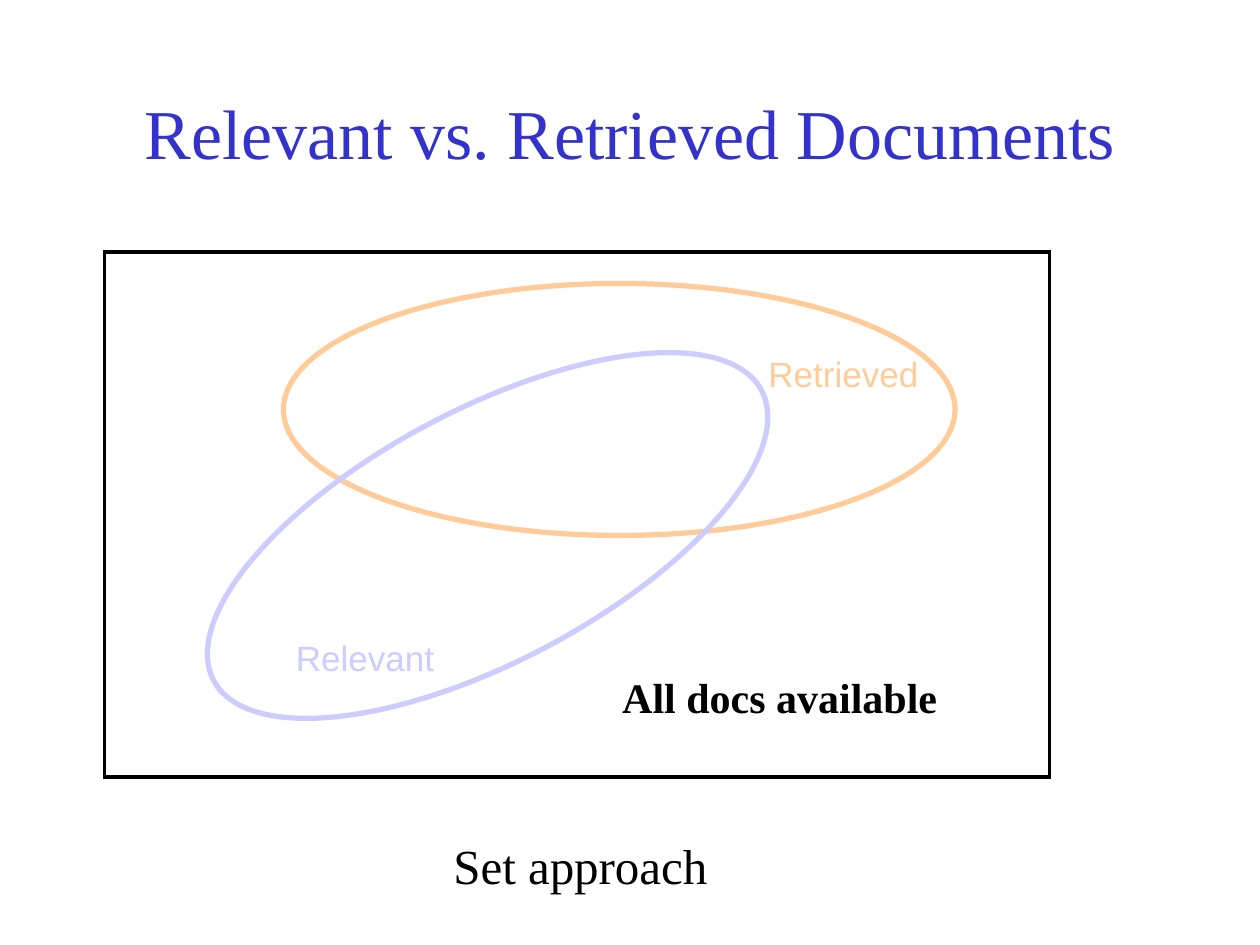
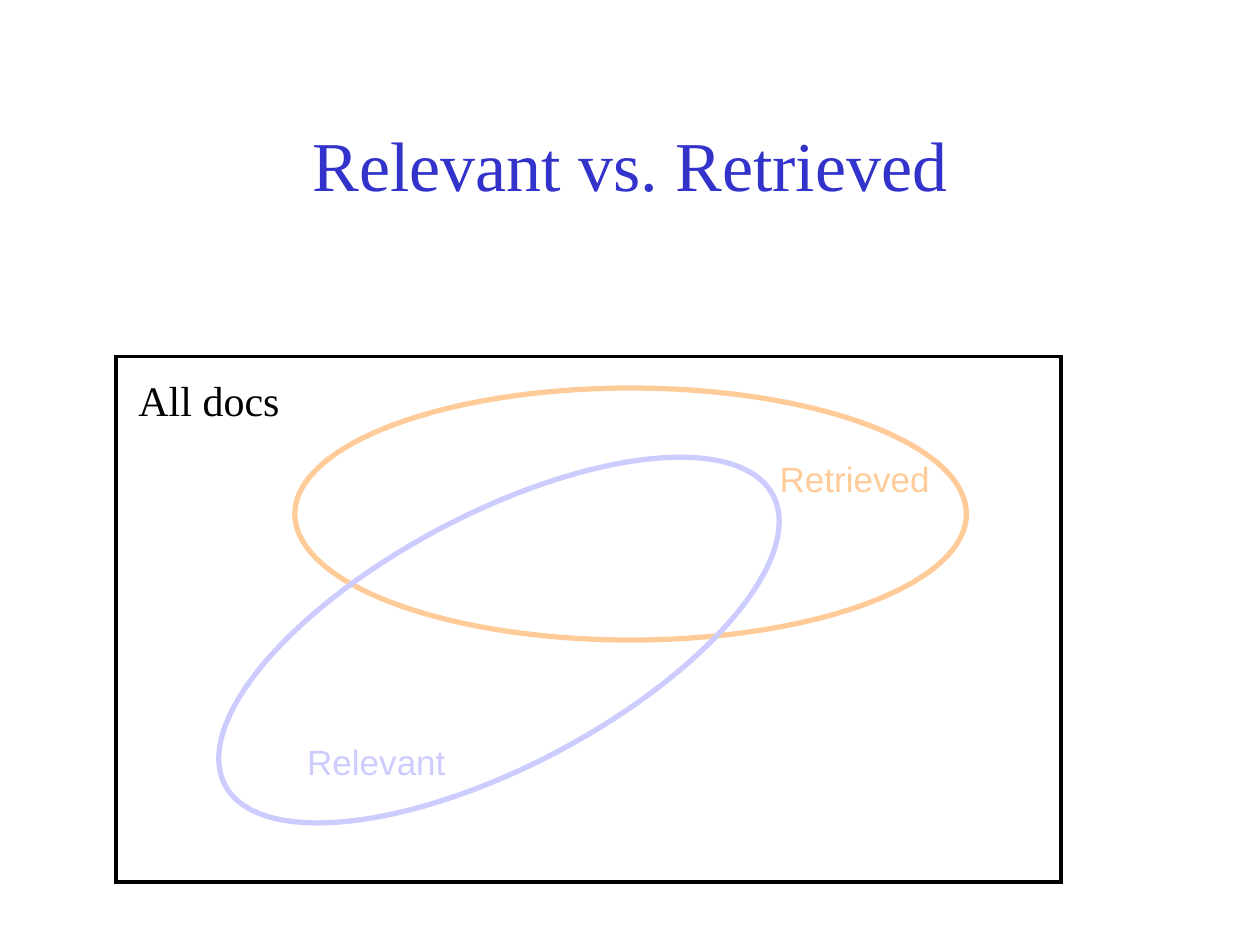
from lxml import etree
from pptx import Presentation
from pptx.dml.color import RGBColor
from pptx.enum.shapes import MSO_SHAPE
from pptx.enum.text import MSO_ANCHOR, MSO_AUTO_SIZE, PP_ALIGN
from pptx.oxml.ns import qn
from pptx.util import Inches, Pt

RECTANGLE = MSO_SHAPE.RECTANGLE
ELLIPSE = MSO_SHAPE.OVAL
MIDDLE = MSO_ANCHOR.MIDDLE
CENTER = PP_ALIGN.CENTER
FIT_TEXT = MSO_AUTO_SIZE.SHAPE_TO_FIT_TEXT
NO_FIT = MSO_AUTO_SIZE.NONE

COLORS = {
    "title": "3333CC",
    "text": "000000",
    "retrieved": "FFCC99",
    "relevant": "CCCCFF",
}
SERIF = "Times New Roman"
SANS = "Arial"
TITLE_ONLY = 5


def style(paragraph, font_name, size, color, bold=False):
    font = paragraph.font
    font.name = font_name
    font.size = Pt(size)
    font.bold = bold
    font.color.rgb = RGBColor.from_string(COLORS[color])


def add_titled_slide(prs, text, top):
    slide = prs.slides.add_slide(prs.slide_layouts[TITLE_ONLY])
    title = slide.shapes.title
    title.left, title.top = Inches(0.75), Inches(top)
    title.width, title.height = Inches(8.5), Inches(1.25)
    frame = title.text_frame
    frame.text = text
    frame.word_wrap = True
    frame.auto_size = NO_FIT
    frame.vertical_anchor = MIDDLE
    heading = frame.paragraphs[0]
    heading.alignment = CENTER
    style(heading, SERIF, 40, "title")
    return slide


def add_outline(shapes, preset, left, top, width, height, color, weight, rotation=0):
    outline = shapes.add_shape(
        preset, Inches(left), Inches(top), Inches(width), Inches(height))
    outline.rotation = rotation
    outline.shadow.inherit = False
    outline.fill.background()
    outline.line.color.rgb = RGBColor.from_string(COLORS[color])
    outline.line.width = Pt(weight)
    line_properties = outline.line._get_or_add_ln()
    etree.SubElement(line_properties, qn("a:miter"), lim="800000")


def add_label(shapes, text, left, top, width, height, font_name, size, color,
              bold=False, wrap=False):
    label = shapes.add_textbox(
        Inches(left), Inches(top), Inches(width), Inches(height))
    frame = label.text_frame
    frame.text = text
    frame.word_wrap = wrap
    frame.auto_size = FIT_TEXT
    style(frame.paragraphs[0], font_name, size, color, bold)


def add_document_sets(shapes, left, top):
    add_outline(shapes, ELLIPSE, left + 1.42, top + 0.25, 5.33, 2, "retrieved", 3)
    add_outline(shapes, ELLIPSE, left + 0.58, top + 1.25, 4.92, 2, "relevant", 3, 332.1)
    add_label(shapes, "Relevant", left + 1.42, top + 3, 1.3, 0.44,
              SANS, 20, "relevant")
    add_label(shapes, "Retrieved", left + 5.17, top + 0.75, 1.73, 0.44,
              SANS, 20, "retrieved", wrap=True)
    add_outline(shapes, RECTANGLE, left, top, 7.5, 4.17, "text", 2.25)


def build_set_approach(prs):
    slide = add_titled_slide(prs, "Relevant vs. Retrieved Documents", 0.42)
    left, top = 0.83, 2
    diagram = slide.shapes.add_group_shape().shapes
    add_document_sets(diagram, left, top)
    add_label(diagram, "All docs available", left + 4.01, top + 3.28, 2.7, 0.5,
              SERIF, 24, "text", bold=True)
    add_label(slide.shapes, "Set approach", 3.5, 6.58, 2.3, 0.57,
              SERIF, 28, "text", wrap=True)


def build_relevant_vs_retrieved(prs):
    slide = add_titled_slide(prs, "Relevant vs. Retrieved", 0.67)
    left, top = 0.92, 2.83
    add_document_sets(slide.shapes, left, top)
    add_label(slide.shapes, "All docs", left + 0.08, top + 0.09, 1.32, 0.5,
              SERIF, 24, "text")


def main():
    prs = Presentation()
    prs.slide_width, prs.slide_height = Inches(10), Inches(7.5)
    build_set_approach(prs)
    build_relevant_vs_retrieved(prs)
    prs.save("out.pptx")


if __name__ == "__main__":
    main()
